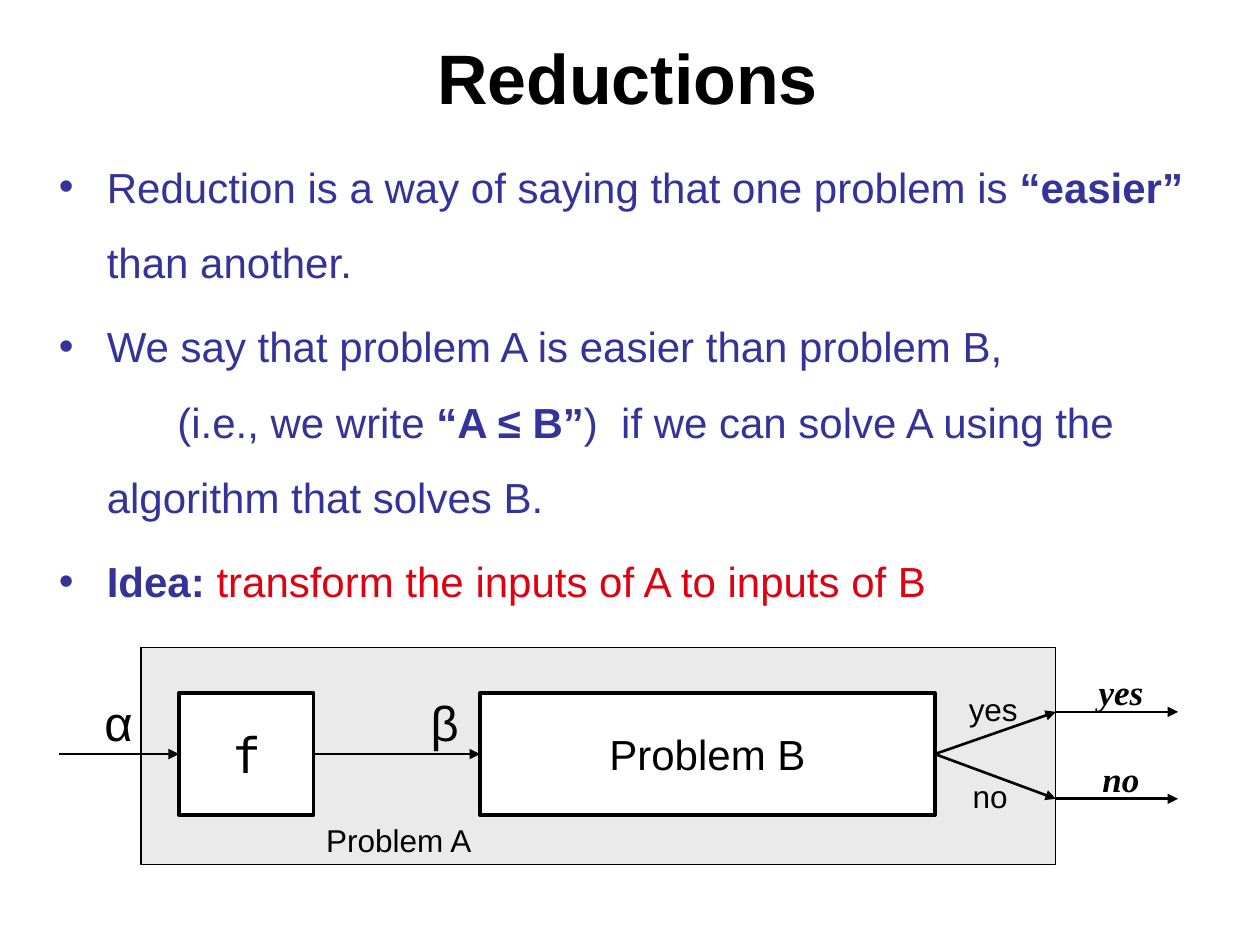
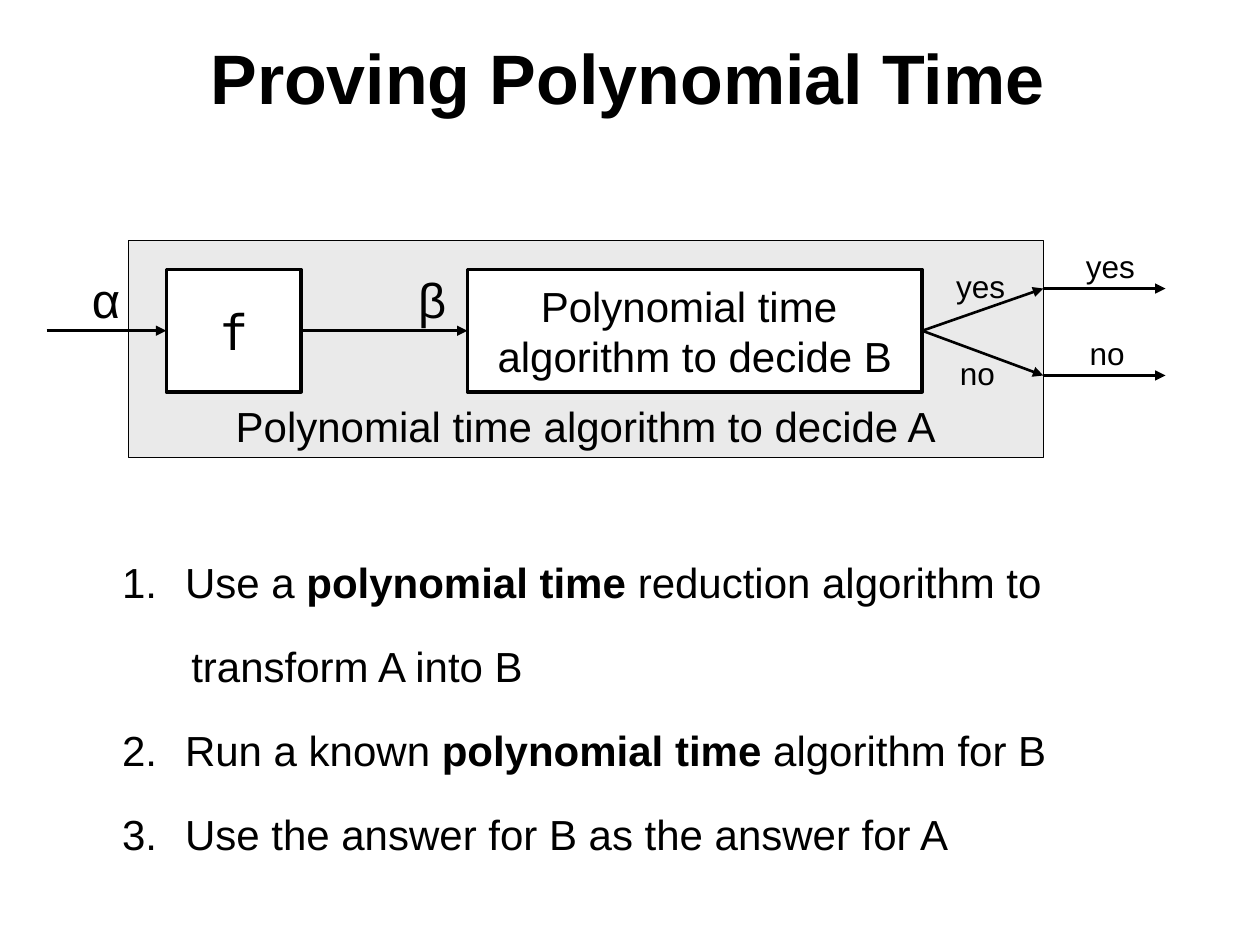
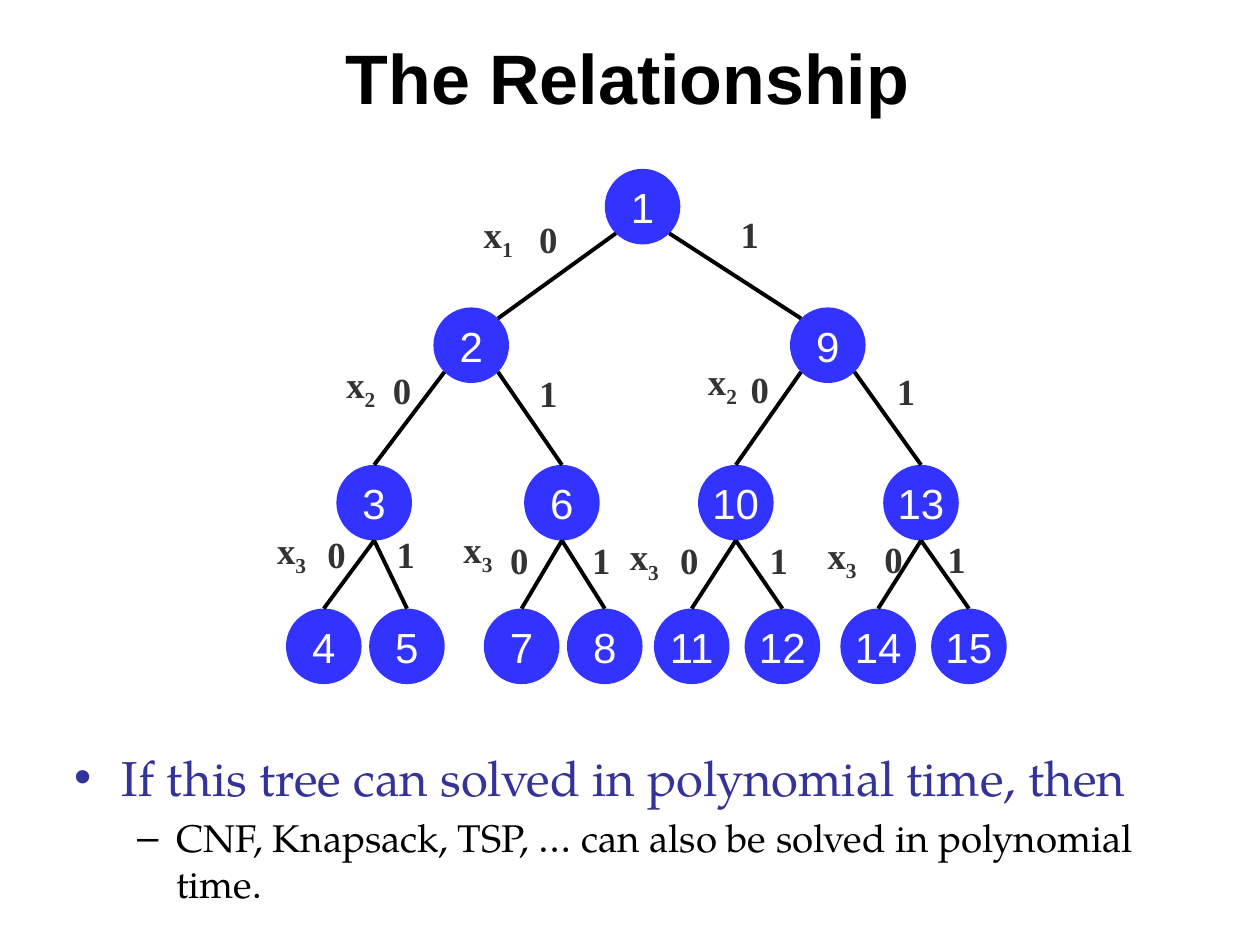
from dataclasses import dataclass, replace
from math import sqrt

from lxml import etree
from pptx import Presentation
from pptx import util as u
from pptx.dml.color import RGBColor
from pptx.enum import shapes, text
from pptx.oxml import ns

BLACK, WHITE, GRAY = "000000", "FFFFFF", "EAEAEA"
NAVY, RED, BLUE, CHARCOAL = "333399", "DD0111", "3333FF", "333333"


def rgb(value):
    return RGBColor.from_string(value)


@dataclass(frozen=True)
class Style:
    size: int = 24
    font: str = "Arial"
    color: str = BLACK
    bold: bool = False
    italic: bool = False
    baseline: int = 0


PLAIN = Style()
STRONG = Style(bold=True)
TITLE = Style(40, bold=True)
BODY = Style(color=NAVY)
BODY_STRONG = replace(BODY, bold=True)
SMALL = Style(18)
GREEK = Style(28)
CODE = Style(28, "DejaVu Sans Mono")
ANSWER = Style(20, "Times New Roman", bold=True, italic=True)
NODE = Style(color=WHITE)
EDGE = Style(21, "Times New Roman", CHARCOAL, bold=True)
SUBSCRIPT = replace(EDGE, baseline=-25000)


@dataclass
class Item:
    """A list paragraph; a bullet that is an int is the start of its numbering."""
    runs: list
    bullet: object = None
    margin: float = 0.38
    indent: float = -0.38
    spacing: float = 1.0
    before: float = 4.8
    level: int = 0


class Deck:
    def __init__(self):
        self.presentation = Presentation()
        self.presentation.slide_width = u.Inches(10)
        self.presentation.slide_height = u.Inches(7.5)
        self.slide = None

    def new_slide(self, title):
        self.slide = self.presentation.slides.add_slide(self.presentation.slide_layouts[6])
        frame = self.text_frame(0.19, 0.11, 9.58, 0.99)
        frame.vertical_anchor = text.MSO_ANCHOR.MIDDLE
        paragraph = frame.paragraphs[0]
        paragraph.alignment = text.PP_ALIGN.CENTER
        self.add_runs(paragraph, [(title, TITLE)])

    def text_frame(self, left, top, width, height):
        box = self.slide.shapes.add_textbox(*map(u.Inches, (left, top, width, height)))
        box.text_frame.word_wrap = True
        return box.text_frame

    def add_runs(self, paragraph, runs):
        for wording, style in runs:
            run = paragraph.add_run()
            run.text = wording
            font = run.font
            font.size, font.name = u.Pt(style.size), style.font
            font.bold, font.italic = style.bold, style.italic
            font.color.rgb = rgb(style.color)
            if style.baseline:
                run._r.get_or_add_rPr().set("baseline", str(style.baseline))

    def label(self, left, top, width, height, runs):
        """Add a one-line text that sizes its own box."""
        frame = self.text_frame(left, top, width, height)
        frame.word_wrap = False
        frame.auto_size = text.MSO_AUTO_SIZE.SHAPE_TO_FIT_TEXT
        self.add_runs(frame.paragraphs[0], runs)

    def item_list(self, left, top, width, height, items):
        frame = self.text_frame(left, top, width, height)
        for index, item in enumerate(items):
            paragraph = frame.add_paragraph() if index else frame.paragraphs[0]
            paragraph.level = item.level
            paragraph.line_spacing = item.spacing
            paragraph.space_before = u.Pt(item.before)
            self.add_runs(paragraph, item.runs)
            properties = paragraph._p.get_or_add_pPr()
            properties.set("marL", str(u.Inches(item.margin)))
            properties.set("indent", str(u.Inches(item.indent)))
            if isinstance(item.bullet, int):
                etree.SubElement(properties, ns.qn("a:buAutoNum"),
                                 type="arabicPeriod", startAt=str(item.bullet))
            elif item.bullet:
                etree.SubElement(properties, ns.qn("a:buFont"), typeface="Arial")
                etree.SubElement(properties, ns.qn("a:buChar"), char=item.bullet)
            else:
                etree.SubElement(properties, ns.qn("a:buNone"))

    def shape(self, kind, left, top, width, height, fill, line_width=0, lines=(), style=PLAIN,
              anchor=text.MSO_ANCHOR.MIDDLE):
        shape = self.slide.shapes.add_shape(kind, *map(u.Inches, (left, top, width, height)))
        shape.shadow.inherit = False
        shape.fill.solid()
        shape.fill.fore_color.rgb = rgb(fill)
        if line_width:
            shape.line.color.rgb = rgb(BLACK)
            shape.line.width = u.Pt(line_width)
        else:
            shape.line.fill.background()
        frame = shape.text_frame
        frame.word_wrap = False
        frame.vertical_anchor = anchor
        for index, line in enumerate(lines):
            paragraph = frame.add_paragraph() if index else frame.paragraphs[0]
            paragraph.alignment = text.PP_ALIGN.CENTER
            self.add_runs(paragraph, [(line, style)])
        return shape

    def rectangle(self, *args, **options):
        return self.shape(shapes.MSO_SHAPE.RECTANGLE, *args, **options)

    def line(self, start, end, width, arrow=False):
        """Draw a line; each end is an (x, y) point or a (shape, side) pair."""
        points = [(0, 0) if hasattr(e[0], "shape_id") else e for e in (start, end)]
        connector = self.slide.shapes.add_connector(
            shapes.MSO_CONNECTOR.STRAIGHT, *(u.Inches(v) for point in points for v in point))
        if hasattr(start[0], "shape_id"):
            connector.begin_connect(*start)
        if hasattr(end[0], "shape_id"):
            connector.end_connect(*end)
        connector.line.color.rgb = rgb(BLACK)
        connector.line.width = u.Pt(width)
        if arrow:
            etree.SubElement(connector.line._get_or_add_ln(), ns.qn("a:tailEnd"), type="triangle")
        etree.SubElement(connector._element.spPr, ns.qn("a:effectLst"))

    def arrow(self, start, end):
        self.line(start, end, 1.5, arrow=True)

    def reduction_diagram(self, left, top, frame_top, solver, answer_style, caption=()):
        """Draw the pipeline from input to answer; left and top place the f box."""
        frame_left, frame_width = left - 0.3, 7.26
        frame_right = frame_left + frame_width
        self.rectangle(frame_left, frame_top, frame_width, 1.72, GRAY, 0.75, caption,
                       anchor=text.MSO_ANCHOR.BOTTOM)
        transform = self.rectangle(left, top, 1.07, 0.97, WHITE, 2, ["f"], CODE)
        decider = self.rectangle(left + 2.39, top, 3.61, 0.97, WHITE, 2, solver)
        self.arrow((left - 0.95, top + 0.485), (transform, 1))
        self.arrow((transform, 3), (decider, 1))
        self.label(left - 0.69, top - 0.05, 0.45, 0.57, [("α", GREEK)])
        self.label(left + 1.9, top - 0.05, 0.41, 0.57, [("β", GREEK)])
        for answer, width, dx, y in (("yes", 0.59, 0, top + 0.15), ("no", 0.52, 0.03, top + 0.84)):
            self.arrow((decider, 3), (frame_right, y))
            self.arrow((frame_right, y), (frame_right + 0.97, y))
            self.label(left + 6.17 + dx, y - 0.22, width, 0.4, [(answer, SMALL)])
            self.label(left + 7.2 + dx, y - 0.38, width, 0.4, [(answer, answer_style)])

    def tree(self, levels, variables):
        """Draw a binary tree; each level is its top and the left edges by node number."""
        size = 0.6
        radius, diagonal = size / 2, size / 2 / sqrt(2)
        centers = []
        for top, nodes in levels:
            for number, left in nodes.items():
                self.shape(shapes.MSO_SHAPE.OVAL, left, top, size, size, BLUE,
                           lines=[str(number)], style=NODE)
            centers.append([(left + radius, top + radius) for left in nodes.values()])
        for depth, (parents, children) in enumerate(zip(centers, centers[1:])):
            for index, (child_x, child_y) in enumerate(children):
                x, y = parents[index // 2]
                side = 1 if index % 2 else -1
                start = ((x, y + radius) if depth == 2
                         else (x + side * diagonal, y + diagonal))
                end = ((child_x - side * diagonal, child_y - diagonal) if depth == 0
                       else (child_x, child_y - radius))
                self.line(start, end, 2.25)
        for subscript, name_at, zero_at, one_at in variables:
            self.label(*name_at, 0.49, 0.45, [("x", EDGE), (subscript, SUBSCRIPT)])
            for digit, position in (("0", zero_at), ("1", one_at)):
                self.label(*position, 0.35, 0.45, [(digit, EDGE)])


def reductions(deck):
    deck.new_slide("Reductions")
    deck.item_list(0.37, 1.03, 9.5, 3.96, [
        Item([("Reduction is a way of saying that one problem is ", BODY),
              ("“easier”", BODY_STRONG), (" than another.", BODY)], "•", spacing=1.5),
        Item([("We say that problem A is easier than problem B,", BODY)], "•", spacing=1.5),
        Item([("(i.e., we write ", BODY), ("“A ≤ B”", BODY_STRONG),
              (")  if we can solve A using the algorithm that solves B.", BODY)],
             indent=0.56, spacing=1.5, before=0),
        Item([("Idea: ", BODY_STRONG),
              ("transform the inputs of A to inputs of B", replace(BODY, color=RED))],
             "•", spacing=1.5),
    ])
    deck.reduction_diagram(1.42, 5.5, 5.14, ["Problem B"], ANSWER)
    deck.label(2.49, 6.47, 1.37, 0.4, [("Problem A", SMALL)])


def proving_polynomial_time(deck):
    deck.new_slide("Proving Polynomial Time")
    step = dict(margin=1, indent=-0.5, spacing=1.5, level=1)
    deck.item_list(0.37, 4.17, 9.29, 3.02, [
        Item([("Use a ", PLAIN), ("polynomial time", STRONG),
              (" reduction algorithm to ", PLAIN)], 1, **step),
        Item([("transform A into B", PLAIN)], **{**step, "margin": 1.05, "indent": 0}),
        Item([("Run a known ", PLAIN), ("polynomial time", STRONG),
              (" algorithm for B", PLAIN)], 2, **step),
        Item([("Use the answer for B as the answer for A", PLAIN)], 2, **step),
    ])
    deck.reduction_diagram(1.32, 2.14, 1.91, ["Polynomial time ", "algorithm to decide B"],
                           SMALL, ["Polynomial time algorithm to decide A"])


def the_relationship(deck):
    deck.new_slide("The Relationship")
    deck.tree(
        levels=[
            (1.34, {1: 4.8}),
            (2.44, {2: 3.44, 9: 6.27}),
            (3.69, {3: 2.67, 6: 4.16, 10: 5.54, 13: 7.01}),
            (4.83, {4: 2.27, 5: 2.93, 7: 3.84, 8: 4.5, 11: 5.19, 12: 5.91, 14: 6.67, 15: 7.39}),
        ],
        variables=[
            ("1", (3.74, 1.63), (4.18, 1.67), (5.78, 1.63)),
            ("2", (2.65, 2.82), (3.02, 2.87), (4.18, 2.89)),
            ("2", (5.52, 2.8), (5.86, 2.86), (7.02, 2.88)),
            ("3", (2.1, 4.14), (2.5, 4.17), (3.05, 4.17)),
            ("3", (3.58, 4.13), (3.95, 4.22), (4.6, 4.22)),
            ("3", (4.9, 4.19), (5.3, 4.22), (6.01, 4.22)),
            ("3", (6.47, 4.18), (6.92, 4.21), (7.42, 4.21)),
        ])
    serif = Style(28, "TeX Gyre Pagella", NAVY)
    deck.item_list(0.49, 5.88, 9.1, 1.49, [
        Item([("If this tree can solved in polynomial time, then", serif)], "•", before=5.6),
        Item([("CNF, Knapsack, TSP, … can also be solved in polynomial time.",
               replace(serif, size=22, color=BLACK))],
             "–", margin=0.81, indent=-0.31, before=4.4, level=1),
    ])


def main():
    deck = Deck()
    reductions(deck)
    proving_polynomial_time(deck)
    the_relationship(deck)
    deck.presentation.save("out.pptx")


if __name__ == "__main__":
    main()
